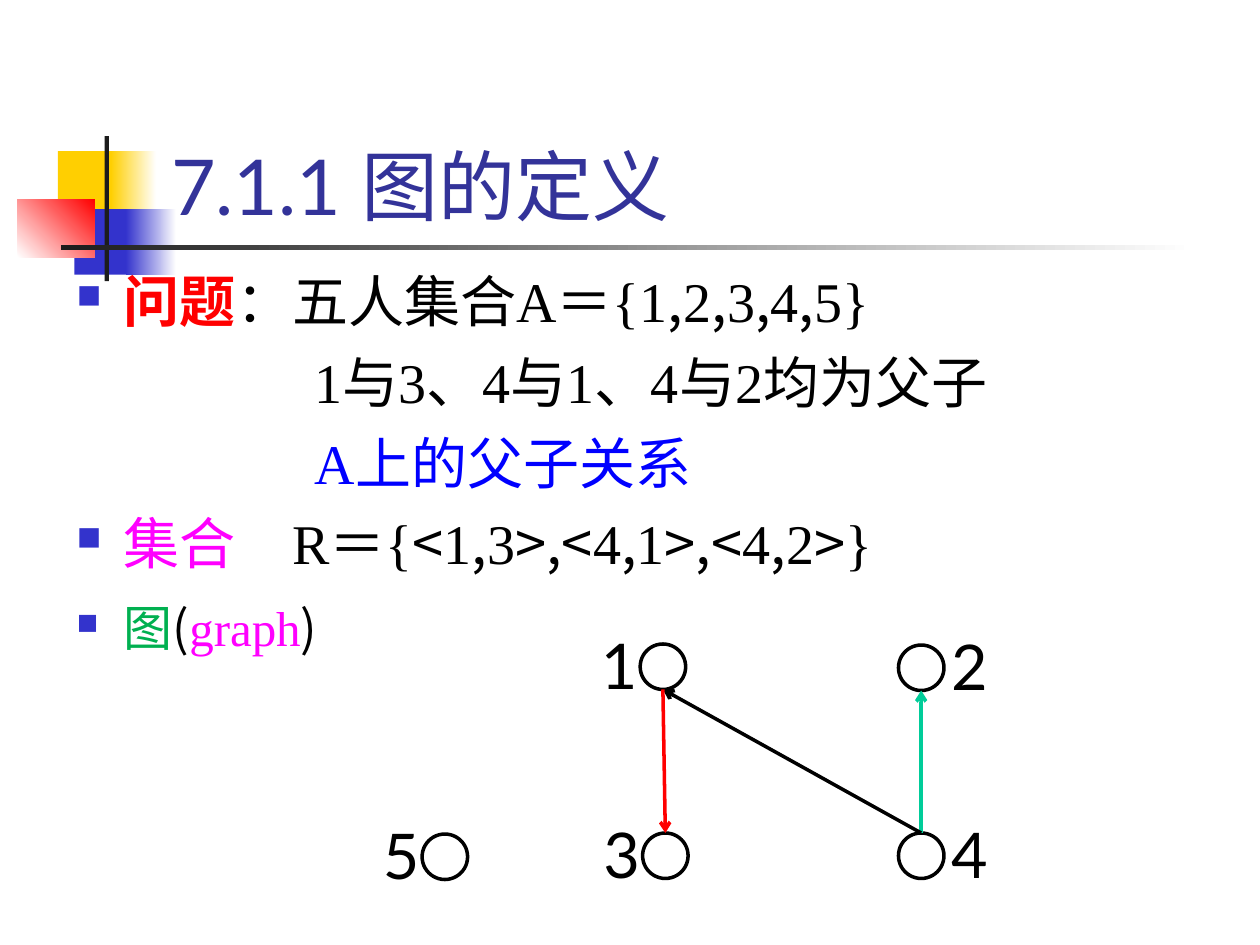
from dataclasses import dataclass
from itertools import groupby
from typing import Optional

from lxml.etree import SubElement
from pptx import Presentation
from pptx.dml.color import RGBColor
from pptx.enum.shapes import MSO_CONNECTOR as Conn, MSO_SHAPE as Shp
from pptx.enum.text import MSO_ANCHOR as Anchor
from pptx.oxml.ns import qn
from pptx.util import Pt

COLORS = {
    "yellow": "FFCF01", "blue": "3333CC", "red": "FF0000", "ink": "1C1C1C",
    "white": "FFFFFF", "black": "000000", "title": "333399", "link": "0000FF",
    "magenta": "FF00FF", "green": "00B050", "teal": "00CC99",
}
LATO, CJK, TIMES = "Lato", "Noto Sans CJK SC", "Times New Roman"
DIAMETER = 26


@dataclass
class Block:
    x: float
    y: float
    w: float
    h: float
    start: str
    end: Optional[str] = None
    angle: float = 0


@dataclass
class Node:
    x: float
    y: float
    label_right: bool = False

    @property
    def top(self):
        return self.x + DIAMETER / 2, self.y

    @property
    def bottom(self):
        return self.x + DIAMETER / 2, self.y + DIAMETER


@dataclass
class Span:
    text: str
    color: str = "black"
    font: str = TIMES
    size: float = 32
    bold: bool = False


@dataclass
class Line:
    spans: list
    bullet: bool = True
    indent: float = 27


BLOCKS = [
    Block(33.1, 86.4, 34.6, 37.4, "yellow"),
    Block(63.4, 86.4, 25.9, 37.4, "yellow", "white"),
    Block(42.5, 119.5, 33.1, 37.4, "blue"),
    Block(72, 119.5, 28.8, 37.4, "blue", "white"),
    Block(10.1, 113.8, 44, 33.1, "white", "red", 45),
    Block(59.8, 77.8, 2.4, 82.8, "ink"),
    Block(34.6, 140.2, 648, 2.4, "ink", "white"),
]
NODES = {
    "5": Node(241.2, 476.6),
    "3": Node(367.2, 476),
    "4": Node(513.4, 476, label_right=True),
    "1": Node(365.8, 368),
    "2": Node(513.4, 368.6, label_right=True),
}
LINES = [
    Line([Span("问题", "red", LATO, bold=True), Span("：", font=LATO),
          Span("五人集合A＝{1,2,3,4,5}")]),
    Line([Span("1与3、4与1、4与2均为父子")], bullet=False, indent=136),
    Line([Span("A上的父子关系", "link")], bullet=False, indent=136),
    Line([Span("集合　", "magenta"), Span("R＝{<1,3>,<4,1>,<4,2>}")]),
    Line([Span("图", "green", size=28), Span("(", font=CJK, size=28),
          Span("graph", "magenta", size=28), Span(")", font=CJK, size=28)]),
]


def rgb(name: str) -> RGBColor:
    return RGBColor.from_string(COLORS[name])


def add_block(s, b: Block):
    sp = s.shapes.add_shape(Shp.RECTANGLE, Pt(b.x), Pt(b.y), Pt(b.w), Pt(b.h))
    sp.shadow.inherit = False
    sp.line.fill.background()
    if b.end is None:
        sp.fill.solid()
        sp.fill.fore_color.rgb = rgb(b.start)
        return
    sp.fill.gradient()
    sp.fill.gradient_angle = b.angle
    for stop, name, position in zip(sp.fill.gradient_stops, (b.start, b.end), (0, 1)):
        stop.color.rgb = rgb(name)
        stop.position = position


def add_box(s, x: float, y: float, w: float, h: float, wrap=True, anchor=Anchor.TOP,
            top=3.6, bottom=3.6):
    tf = s.shapes.add_textbox(Pt(x), Pt(y), Pt(w), Pt(h)).text_frame
    tf.word_wrap = wrap
    tf.vertical_anchor = anchor
    tf.margin_top, tf.margin_bottom = Pt(top), Pt(bottom)
    return tf


def add_text(p, text: str, *, color="black", font=TIMES, size=32, bold=False):
    """Add a run with separate Latin and East Asian fonts."""
    r = p.add_run()
    r.text = text
    r.font.name, r.font.size, r.font.bold = font, Pt(size), bold
    r.font.color.rgb = rgb(color)
    SubElement(r.font._element, qn("a:ea"), typeface=CJK)


def add_span(p, span: Span):
    """Add a span, with its commas and angle brackets in the sans font."""
    for is_mark, chars in groupby(span.text, lambda c: c in ",<>"):
        add_text(p, "".join(chars), color=span.color, size=span.size,
                 bold=span.bold, font=CJK if is_mark else span.font)


def set_bullet(p, shown: bool, indent: float):
    pPr = p._p.get_or_add_pPr()
    pPr.set("marL", str(Pt(indent)))
    pPr.set("indent", str(Pt(-27 if shown else 0)))
    if not shown:
        SubElement(pPr, qn("a:buNone"))
        return
    SubElement(SubElement(pPr, qn("a:buClr")), qn("a:srgbClr"), val=COLORS["blue"])
    SubElement(pPr, qn("a:buSzPct"), val="60000")
    SubElement(pPr, qn("a:buChar"), char="■")


def add_lines(s, lines: list):
    tf = add_box(s, 36.7, 145.4, 683.3, 394.6, top=7)
    for i, line in enumerate(lines):
        p = tf.add_paragraph() if i else tf.paragraphs[0]
        set_bullet(p, line.bullet, line.indent)
        p.line_spacing = Pt(38.4)
        p.space_before = Pt(7.7 if i else 0)
        for span in line.spans:
            add_span(p, span)


def add_node(s, label: str, node: Node):
    sp = s.shapes.add_shape(Shp.OVAL, Pt(node.x), Pt(node.y), Pt(DIAMETER), Pt(DIAMETER))
    sp.shadow.inherit = False
    sp.fill.background()
    sp.line.color.rgb = rgb("black")
    sp.line.width = Pt(2)
    offset = 23 if node.label_right else -29.5
    tf = add_box(s, node.x + offset, node.y - 13.4, 34.6, 50.4, wrap=False)
    add_text(tf.paragraphs[0], label, font=LATO, size=36)


def add_arrow(s, start: tuple, end: tuple, color: str):
    c = s.shapes.add_connector(Conn.STRAIGHT, *(Pt(v) for v in (*start, *end)))
    c.line.color.rgb = rgb(color)
    c.line.width = Pt(2)
    SubElement(c.line._get_or_add_ln(), qn("a:tailEnd"), type="arrow")
    SubElement(c._element.spPr, qn("a:effectLst"))


def main():
    prs = Presentation()
    prs.slide_width, prs.slide_height = Pt(720), Pt(540)
    s = prs.slides.add_slide(prs.slide_layouts[6])
    for block in BLOCKS:
        add_block(s, block)
    title = add_box(s, 90.7, 16.6, 613.4, 115.2, anchor=Anchor.BOTTOM, bottom=0)
    add_text(title.paragraphs[0], "7.1.1 图的定义", color="title", font=LATO, size=44)
    add_lines(s, LINES)
    for label, node in NODES.items():
        add_node(s, label, node)
    add_arrow(s, NODES["4"].top, NODES["2"].bottom, "teal")
    add_arrow(s, NODES["4"].top, NODES["1"].bottom, "black")
    add_arrow(s, NODES["1"].bottom, NODES["3"].top, "red")
    prs.save("out.pptx")


if __name__ == "__main__":
    main()
